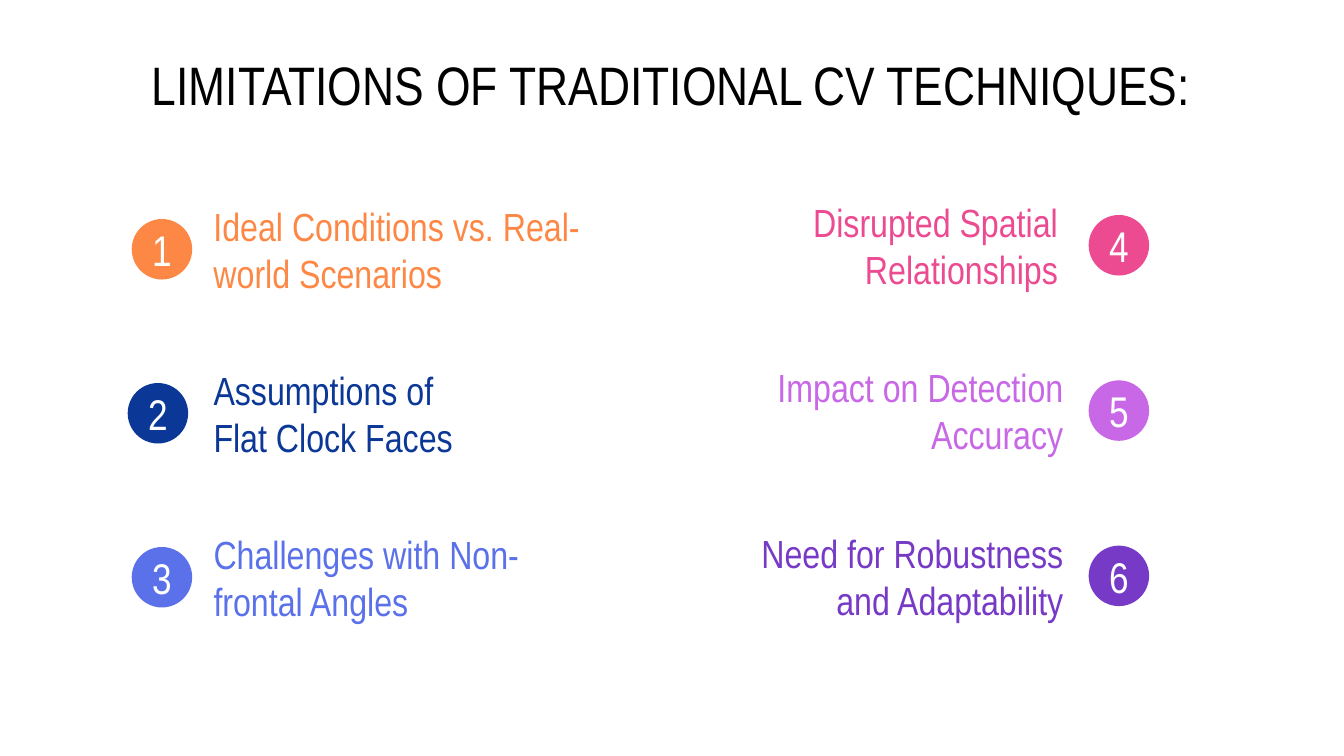
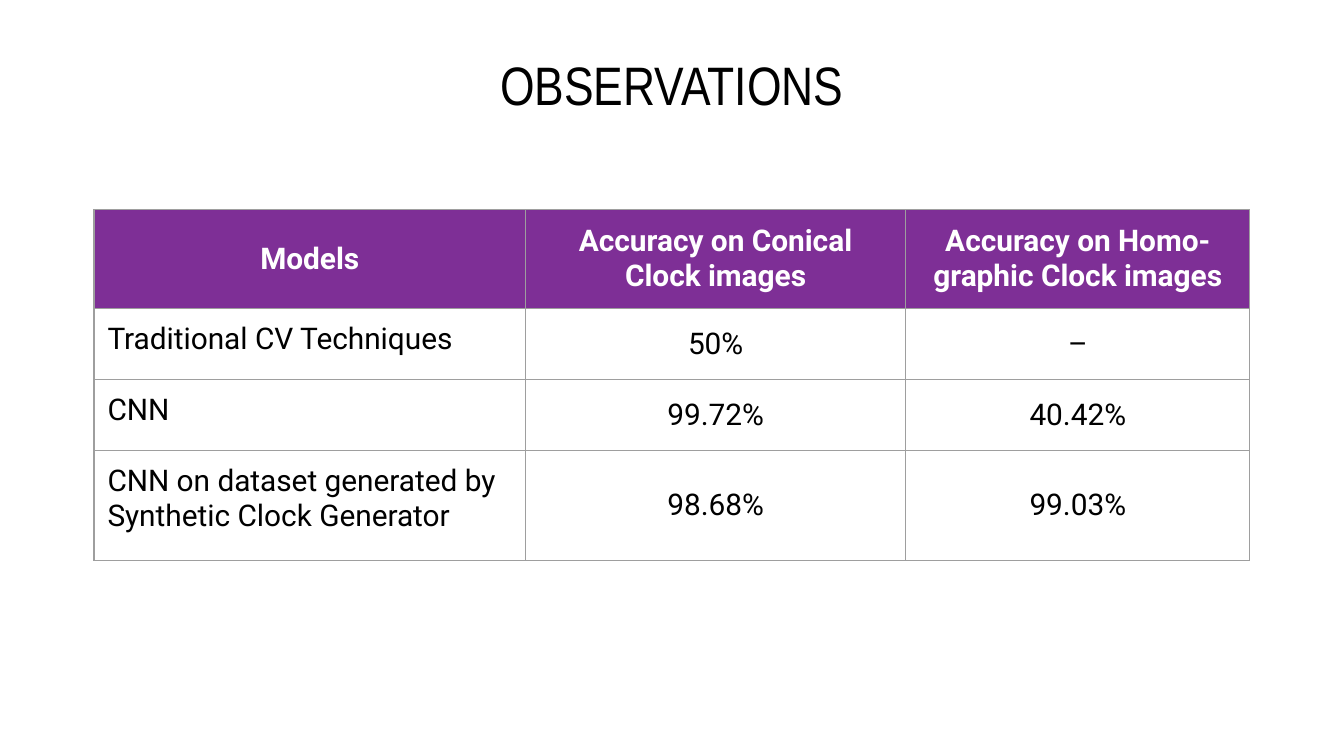
from pptx import Presentation
from pptx import util as u
from pptx.dml.color import RGBColor
from pptx.enum import shapes, text
from pptx.oxml import parse_xml
from pptx.oxml.ns import nsdecls

WIDTH = 10
HEIGHT = WIDTH * 9 / 16
COLORS = {
    "black": "000000", "white": "FFFFFF", "header": "7E2F96", "border": "9E9E9E",
    "orange": "FD8845", "navy": "0B3796", "blue": "5B71E9",
    "pink": "EC4A91", "lilac": "C868E6", "violet": "763AC7",
}
HEADING_FONT, TABLE_FONT = "Arial Narrow", "Roboto"
ALIGN = {"left": text.PP_ALIGN.LEFT, "center": text.PP_ALIGN.CENTER,
         "right": text.PP_ALIGN.RIGHT}

BADGE = 0.45
LABEL_HEIGHT = 0.47
# Top of the first badge and distance between badges, for each column of the list
COLUMN_ROWS = {"left": (1.63, 1.22), "right": (1.6, 1.23)}

# Text, colour, badge left, label left, label width
LIMITATIONS = {
    "left": [
        ("Ideal Conditions vs. Real-world Scenarios", "orange", 0.98, 1.49, 3.43),
        ("Assumptions of Flat Clock Faces", "navy", 0.95, 1.49, 2.05),
        ("Challenges with Non-frontal Angles", "blue", 0.98, 1.49, 3.08),
    ],
    "right": [
        ("Disrupted Spatial Relationships", "pink", 8.1, 5.03, 2.94),
        ("Impact on Detection Accuracy", "lilac", 8.1, 5.44, 2.57),
        ("Need for Robustness and Adaptability", "violet", 8.1, 5.44, 2.57),
    ],
}

OBSERVATIONS = [
    ("Models", "Accuracy on Conical\nClock images", "Accuracy on Homo-\ngraphic Clock images"),
    ("Traditional CV Techniques", "50%", "–"),
    ("CNN", "99.72%", "40.42%"),
    ("CNN on dataset generated by\nSynthetic Clock Generator", "98.68%", "99.03%"),
]
COLUMN_WIDTHS = (3.21, 2.83, 2.56)
ROW_HEIGHTS = (0.53, 0.53, 0.53, 0.82)
TABLE_FRAME = 3.28


def rgb(color):
    return RGBColor.from_string(COLORS[color])


def box(left, top, width, height):
    return [u.Inches(length) for length in (left, top, width, height)]


def write(frame, content, size, color, font=HEADING_FONT, align="left", bold=False):
    """Fill a text frame, one paragraph per line of content."""
    frame.text = content
    for paragraph in frame.paragraphs:
        paragraph.alignment = ALIGN[align]
        for run in paragraph.runs:
            run.font.name = font
            run.font.size = u.Pt(size)
            run.font.bold = bold
            run.font.color.rgb = rgb(color)


def set_up_frame(frame, side_inset=0.1):
    frame.word_wrap = True
    frame.vertical_anchor = text.MSO_ANCHOR.MIDDLE
    frame.margin_left = frame.margin_right = u.Inches(side_inset)
    frame.margin_top = frame.margin_bottom = u.Inches(0.1)


def add_text(slide, position, content, **style):
    frame = slide.shapes.add_textbox(*box(*position)).text_frame
    set_up_frame(frame)
    write(frame, content, **style)


def add_titled_slide(presentation, title):
    slide = presentation.slides.add_slide(presentation.slide_layouts[6])
    position = (0.05 * WIDTH, 0.47, 0.9 * WIDTH, 0.31)
    add_text(slide, position, title, size=29, color="black", align="center")
    return slide


def add_badge(slide, left, top, number, color):
    badge = slide.shapes.add_shape(shapes.MSO_SHAPE.OVAL, *box(left, top, BADGE, BADGE))
    badge.shadow.inherit = False
    badge.fill.solid()
    badge.fill.fore_color.rgb = rgb(color)
    badge.line.fill.background()
    set_up_frame(badge.text_frame, side_inset=0)
    write(badge.text_frame, str(number), size=23, color="white", align="center")


def add_limitations(slide):
    number = 0
    for side, items in LIMITATIONS.items():
        first_top, pitch = COLUMN_ROWS[side]
        for row, (label, color, badge_left, label_left, width) in enumerate(items):
            number += 1
            top = first_top + row * pitch
            label_top = top - (LABEL_HEIGHT - BADGE) / 2
            add_text(slide, (label_left, label_top, width, LABEL_HEIGHT), label,
                     size=21, color=color, align=side)
            add_badge(slide, badge_left, top, number, color)


def add_borders(cell):
    properties = cell._tc.get_or_add_tcPr()
    for edge in ("lnL", "lnR", "lnT", "lnB"):
        properties.append(parse_xml(
            f'<a:{edge} {nsdecls("a")} w="{u.Pt(0.75)}"><a:solidFill>'
            f'<a:srgbClr val="{COLORS["border"]}"/></a:solidFill></a:{edge}>'))


def format_cell(cell, content, is_header, is_label):
    add_borders(cell)
    if is_header:
        cell.fill.solid()
        cell.fill.fore_color.rgb = rgb("header")
    else:
        cell.fill.background()
    cell.margin_left = cell.margin_right = u.Inches(0.1)
    cell.margin_top = cell.margin_bottom = u.Inches(0.1)
    cell.vertical_anchor = text.MSO_ANCHOR.TOP if is_label else text.MSO_ANCHOR.MIDDLE
    write(cell.text_frame, content, size=16, font=TABLE_FONT, bold=is_header,
          color="white" if is_header else "black",
          align="left" if is_label else "center")


def add_observations(slide):
    position = box(0.7, 1.56, TABLE_FRAME, TABLE_FRAME)
    frame = slide.shapes.add_table(len(ROW_HEIGHTS), len(COLUMN_WIDTHS), *position)
    table = frame.table
    table.horz_banding = False
    for column, width in zip(table.columns, COLUMN_WIDTHS):
        column.width = u.Inches(width)
    for r, (row, height) in enumerate(zip(table.rows, ROW_HEIGHTS)):
        row.height = u.Inches(height)
        for c, content in enumerate(OBSERVATIONS[r]):
            format_cell(table.cell(r, c), content, is_header=r == 0,
                        is_label=r > 0 and c == 0)
    # Sizing rows and columns resizes the frame, so it is set last
    frame.width = frame.height = u.Inches(TABLE_FRAME)


def main():
    presentation = Presentation()
    presentation.slide_width = u.Inches(WIDTH)
    presentation.slide_height = u.Inches(HEIGHT)
    add_limitations(add_titled_slide(presentation, "LIMITATIONS OF TRADITIONAL CV TECHNIQUES:"))
    add_observations(add_titled_slide(presentation, "OBSERVATIONS"))
    presentation.save("out.pptx")


if __name__ == "__main__":
    main()
